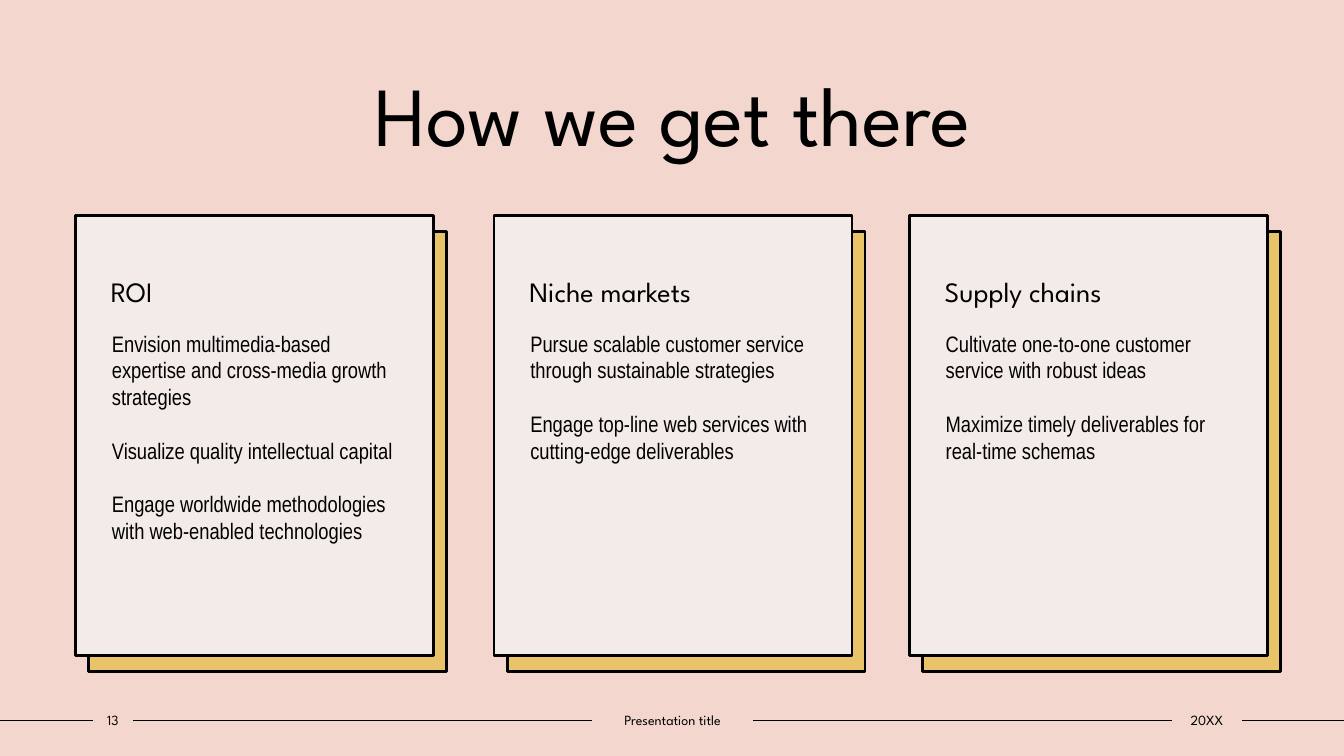
from pptx import Presentation
from pptx.dml.color import RGBColor
from pptx.enum import shapes, text
from pptx.oxml.ns import qn
from pptx.util import Inches, Pt
from lxml import etree


class Theme:
    back = RGBColor.from_string("F3D6CD")
    card = RGBColor.from_string("F3EBE8")
    gold = RGBColor.from_string("E9C369")
    ink = RGBColor.from_string("000000")
    head = "League Spartan"
    body = "Arial Narrow"
    title, label, copy, foot = Pt(60), Pt(20), Pt(16), Pt(10)


def write(para, words, face, size, align=text.PP_ALIGN.LEFT):
    para.alignment = align
    para.space_before = Pt(0)
    run = para.add_run()
    run.text = words
    run.font.name, run.font.size = face, size
    run.font.bold = False
    run.font.color.rgb = Theme.ink


def panel(left, top, fill):
    """Add an outlined card-sized rectangle."""
    rect = slide.shapes.add_shape(shapes.MSO_SHAPE.RECTANGLE, Inches(left),
                                  Inches(top), Inches(3.55), Inches(4.36))
    rect.shadow.inherit = False
    rect.fill.solid()
    rect.fill.fore_color.rgb = fill
    rect.line.color.rgb = Theme.ink
    rect.line.width = Pt(2)
    return rect


deck = Presentation()
deck.slide_width, deck.slide_height = Inches(13.33), Inches(7.5)
slide = deck.slides.add_slide(deck.slide_layouts[4])
slide.background.fill.solid()
slide.background.fill.fore_color.rgb = Theme.back

# Title
title = slide.shapes.title
title.left, title.top = Inches(1.25), Inches(0.56)
title.width, title.height = Inches(10.84), Inches(1.11)
frame = title.text_frame
frame.auto_size = text.MSO_AUTO_SIZE.NONE
frame.vertical_anchor = text.MSO_ANCHOR.BOTTOM
write(frame.paragraphs[0], "How we get there", Theme.head, Theme.title,
      text.PP_ALIGN.CENTER)

# Cards
cards = [
    (0.75, "ROI", [
        "Envision multimedia-based expertise and cross-media growth strategies",
        "Visualize quality intellectual capital",
        "Engage worldwide methodologies with web-enabled technologies"]),
    (4.9, "Niche markets", [
        "Pursue scalable customer service through sustainable strategies",
        "Engage top-line web services with cutting-edge deliverables"]),
    (9.02, "Supply chains", [
        "Cultivate one-to-one customer service with robust ideas",
        "Maximize timely deliverables for real-time schemas"]),
]
*bodies, spare = list(slide.placeholders)[1:5]
spare.element.getparent().remove(spare.element)

for (left, label, items), body in zip(cards, bodies):
    panel(left + 0.13, 2.3, Theme.gold)
    frame = panel(left, 2.14, Theme.card).text_frame
    frame.word_wrap = True
    frame.vertical_anchor = text.MSO_ANCHOR.TOP
    frame.margin_left, frame.margin_top = Inches(0.35), Inches(0.62)
    write(frame.paragraphs[0], label, Theme.head, Theme.label)
    frame.paragraphs[0].line_spacing = 0.9

    body.left, body.top = Inches(left + 0.26), Inches(3.22)
    body.width, body.height = Inches(3), Inches(3.05)
    body.element.getparent().append(body.element)  # in front of its card
    frame = body.text_frame
    frame.auto_size = text.MSO_AUTO_SIZE.NONE
    frame.vertical_anchor = text.MSO_ANCHOR.TOP
    for i, item in enumerate(items):
        para = frame.add_paragraph() if i else frame.paragraphs[0]
        props = para._p.get_or_add_pPr()
        props.set("marL", "0")
        props.set("indent", "0")
        etree.SubElement(props, qn("a:buNone"))
        write(para, item, Theme.body, Theme.copy)
        if i:
            para.space_before = Pt(19)

# Footer labels
notes = []
for left, width, words in [(0.92, 0.4, "13"), (5.87, 1.6, "Presentation title"),
                           (11.62, 0.7, "20XX")]:
    note = slide.shapes.add_textbox(Inches(left), Inches(7.01),
                                    Inches(width), Inches(0.27))
    frame = note.text_frame
    frame.word_wrap = True
    frame.margin_left = frame.margin_right = 0
    frame.vertical_anchor = text.MSO_ANCHOR.MIDDLE
    write(frame.paragraphs[0], words, Theme.head, Theme.foot,
          text.PP_ALIGN.CENTER)
    notes.append(note)

# Rules between the labels, out to the slide edges
level = Inches(7.145)
for start, end in zip([None] + notes, notes + [None]):
    rule = slide.shapes.add_connector(shapes.MSO_CONNECTOR.STRAIGHT,
                                      0, level, deck.slide_width, level)
    if start:
        rule.begin_connect(start, 3)
    if end:
        rule.end_connect(end, 1)
    rule.line.color.rgb = Theme.ink
    rule.line.width = Pt(1)
    etree.SubElement(rule.element.spPr, qn("a:effectLst"))

deck.save("out.pptx")
